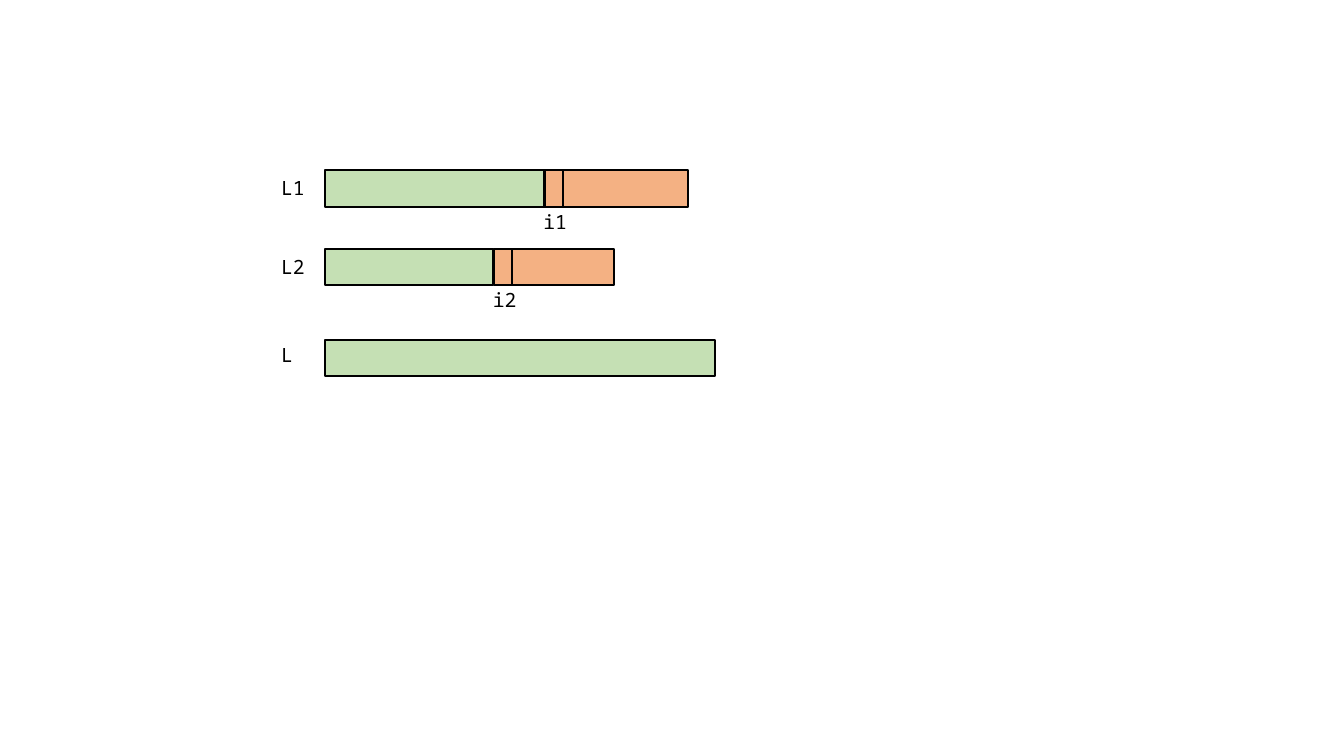
from dataclasses import dataclass

from pptx import Presentation
from pptx.dml.color import RGBColor
from pptx.enum.shapes import MSO_SHAPE
from pptx.enum.text import MSO_AUTO_SIZE
from pptx.slide import Slide
from pptx.util import Inches, Pt


@dataclass(frozen=True)
class Theme:
    green: str = "C5E0B4"
    orange: str = "F4B183"
    ink: str = "000000"
    font: str = "Noto Sans Mono"
    size: float = 14
    line: float = 1.5


@dataclass(frozen=True)
class Bar:
    left: float
    width: float
    color: str


@dataclass(frozen=True)
class Row:
    name: str
    top: float
    label_top: float
    bars: tuple[Bar, ...]
    index: str = ""


THEME = Theme()
START = 3.22
HEIGHT = 0.36
CELL = 0.18
NAME_LEFT = 2.69
LABEL_WIDTH, LABEL_HEIGHT = 0.54, 0.34
INDEX_SHIFT = 0.11  # index label starts left of its cell
INDEX_DROP = 0.34

# Each list: sorted bar, rest, and the cell at the index (last bar)
ROWS = (
    Row("L1", 1.69, 1.7, (
        Bar(START, 2.19, THEME.green),
        Bar(5.42, 1.4, THEME.orange),
        Bar(5.4, CELL, THEME.orange),
    ), "i1"),
    Row("L2", 2.47, 2.48, (
        Bar(START, 1.67, THEME.green),
        Bar(4.9, 1.19, THEME.orange),
        Bar(4.9, CELL, THEME.orange),
    ), "i2"),
    Row("L", 3.37, 3.35, (Bar(START, 3.87, THEME.green),)),
)


def add_bar(slide: Slide, bar: Bar, top: float) -> None:
    shape = slide.shapes.add_shape(
        MSO_SHAPE.RECTANGLE, Inches(bar.left), Inches(top),
        Inches(bar.width), Inches(HEIGHT))
    shape.shadow.inherit = False
    shape.fill.solid()
    shape.fill.fore_color.rgb = RGBColor.from_string(bar.color)
    shape.line.color.rgb = RGBColor.from_string(THEME.ink)
    shape.line.width = Pt(THEME.line)


def add_label(slide: Slide, text: str, left: float, top: float) -> None:
    box = slide.shapes.add_textbox(
        Inches(left), Inches(top), Inches(LABEL_WIDTH), Inches(LABEL_HEIGHT))
    frame = box.text_frame
    frame.word_wrap = True
    frame.auto_size = MSO_AUTO_SIZE.SHAPE_TO_FIT_TEXT
    run = frame.paragraphs[0].add_run()
    run.text = text
    run.font.name = THEME.font
    run.font.size = Pt(THEME.size)
    run.font.color.rgb = RGBColor.from_string(THEME.ink)


def add_row(slide: Slide, row: Row) -> None:
    for bar in row.bars:
        add_bar(slide, bar, row.top)
    add_label(slide, row.name, NAME_LEFT, row.label_top)
    if row.index:
        cell = row.bars[-1]
        add_label(slide, row.index, cell.left - INDEX_SHIFT,
                  row.top + INDEX_DROP)


def main() -> None:
    deck = Presentation()
    deck.slide_width, deck.slide_height = Inches(13.33), Inches(7.5)
    slide = deck.slides.add_slide(deck.slide_layouts[6])  # blank layout
    for row in ROWS:
        add_row(slide, row)
    deck.save("out.pptx")


if __name__ == "__main__":
    main()
